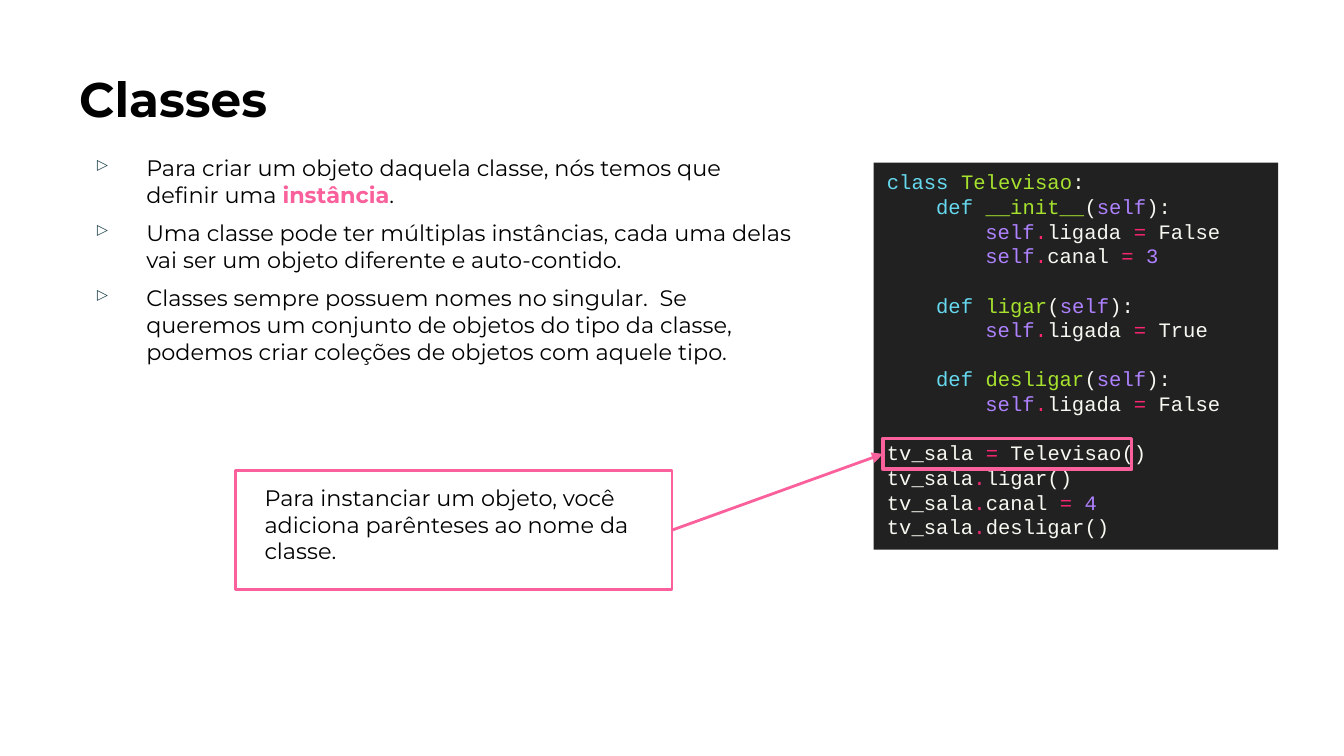
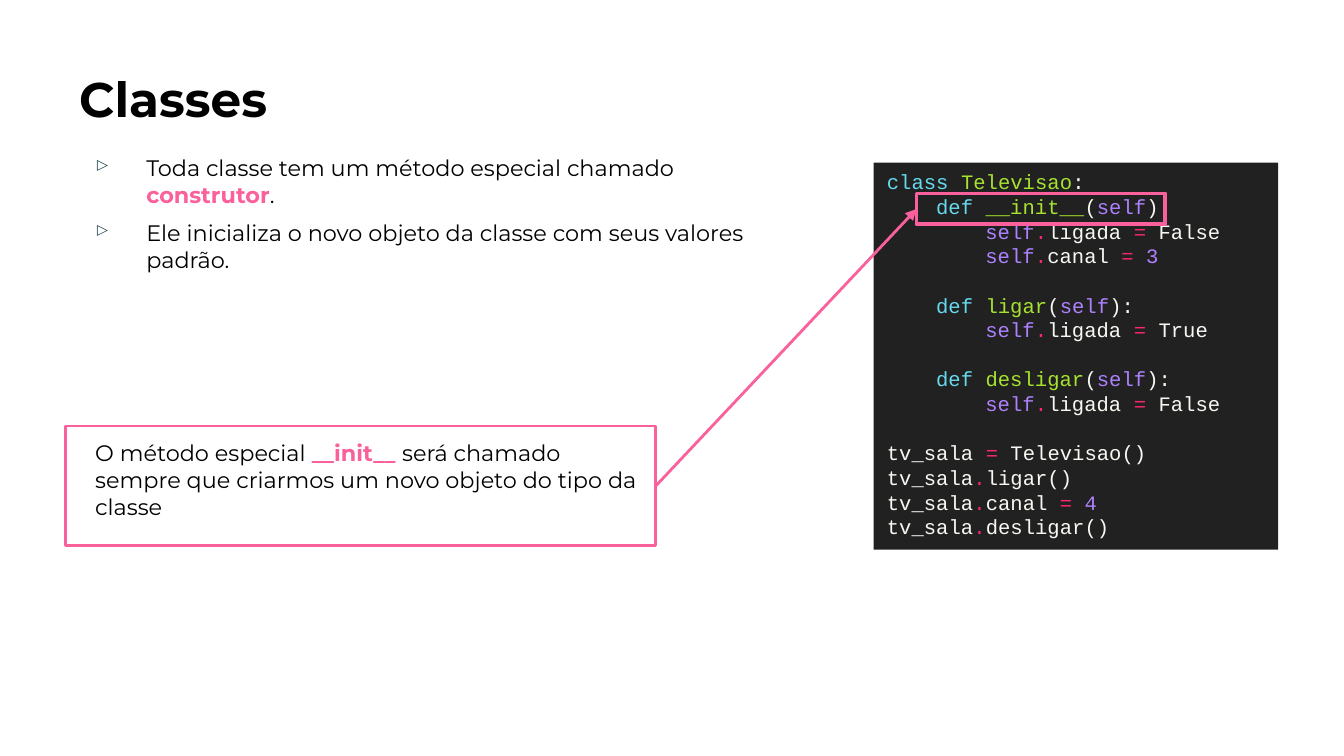
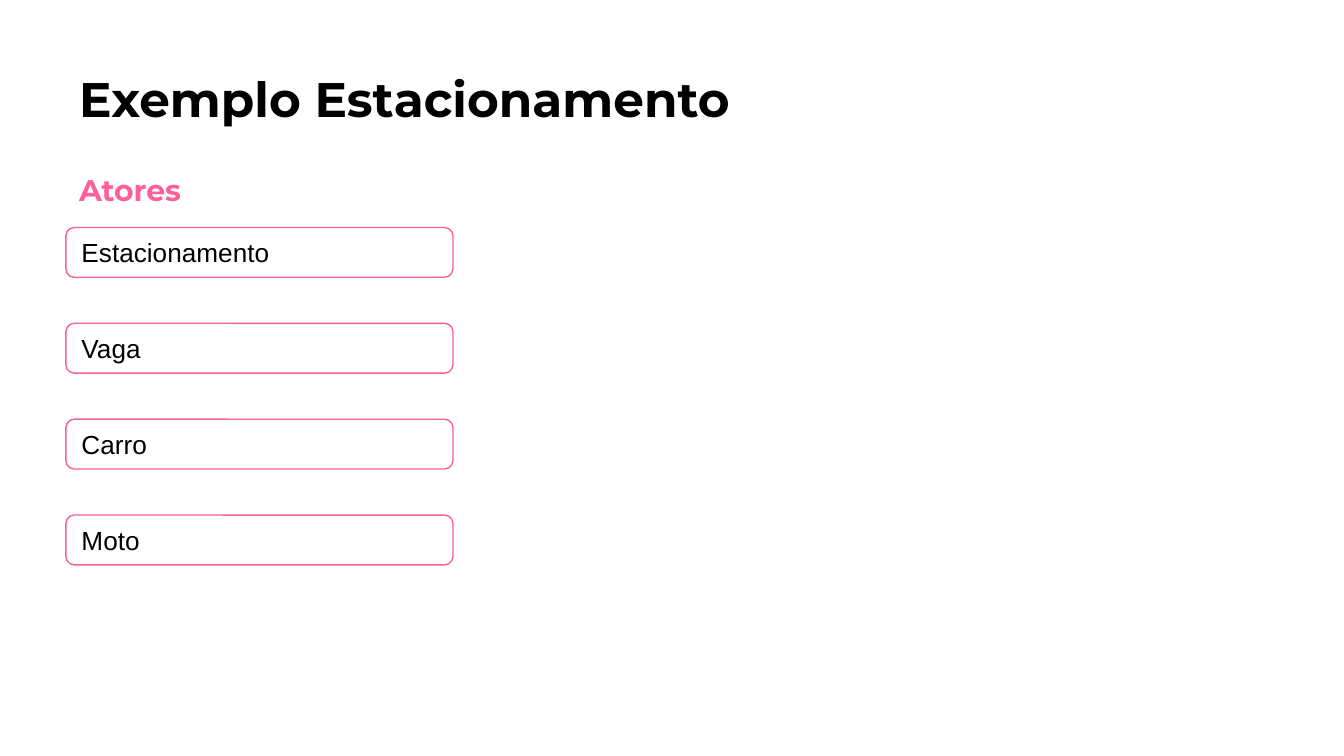
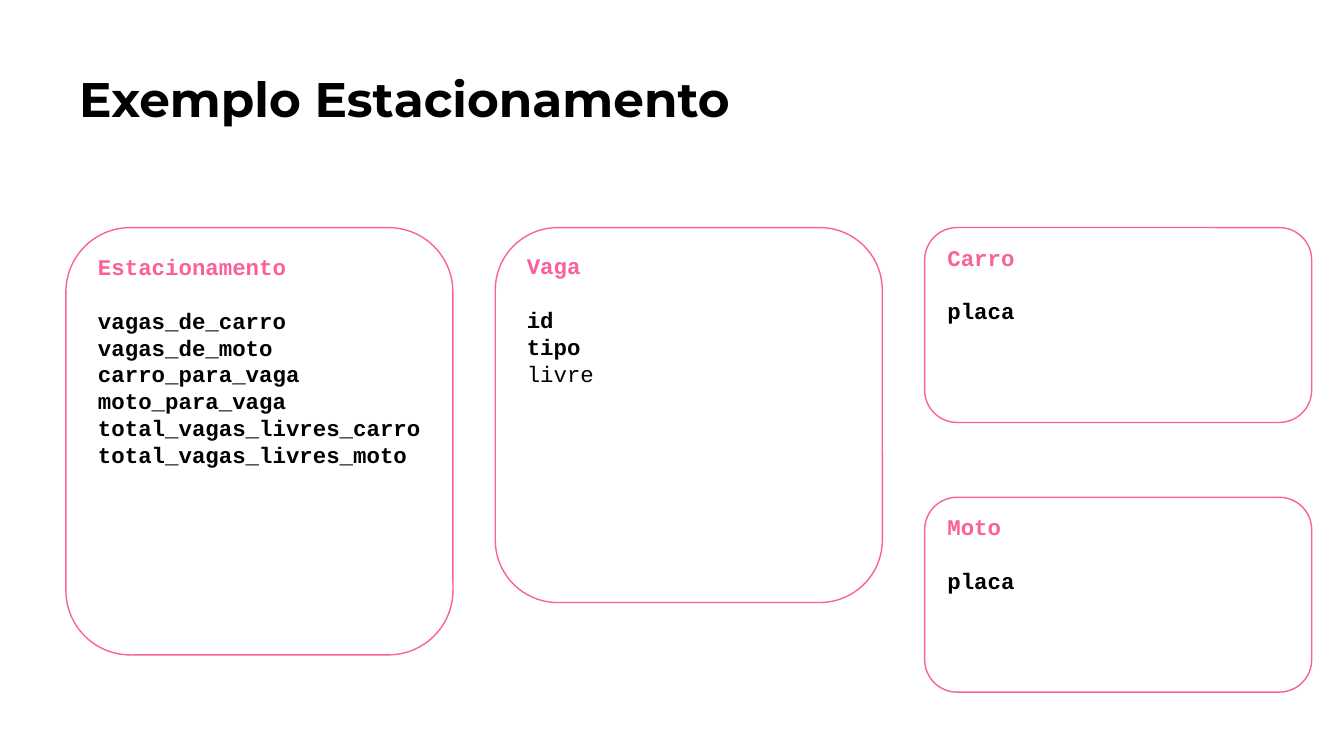
from dataclasses import dataclass
from typing import Optional

from lxml.etree import SubElement
from pptx import Presentation
from pptx.dml.color import RGBColor
from pptx.enum.shapes import MSO_CONNECTOR, MSO_SHAPE
from pptx.enum.text import MSO_ANCHOR, PP_ALIGN
from pptx.oxml.ns import qn
from pptx.util import Emu, Inches, Pt

SLIDE_WIDTH, SLIDE_HEIGHT = Inches(10), Inches(5.625)


@dataclass(frozen=True)
class Theme:
    ink: str = "000000"
    accent: str = "FA609B"
    subtitle: str = "FF609A"
    bullet: str = "0C343D"
    code_background: str = "212121"
    code_plain: str = "F8F8F2"
    code_keyword: str = "66D9EF"
    code_name: str = "A6E22E"
    code_value: str = "AE81FF"
    code_operator: str = "F92672"
    heading_font: str = "Montserrat"
    code_font: str = "Courier New"
    actor_font: str = "Arial"
    title_size: float = 26
    subtitle_size: float = 16
    actor_size: float = 14
    body_size: float = 12
    code_size: float = 11
    code_leading: float = 13.2
    card_leading: float = 14.4


THEME = Theme()


@dataclass(frozen=True)
class Box:
    """A place on the slide, in percent of its width and height."""
    left: float
    top: float
    width: float
    height: float

    def lengths(self) -> tuple[Emu, ...]:
        across, down = SLIDE_WIDTH / 100, SLIDE_HEIGHT / 100
        return (Emu(round(self.left * across)), Emu(round(self.top * down)),
                Emu(round(self.width * across)), Emu(round(self.height * down)))


@dataclass(frozen=True)
class Style:
    font: str
    size: float
    color: str = THEME.ink
    bold: bool = False


@dataclass(frozen=True)
class Lesson:
    """A slide with bullets, the code and a callout pointing at one code line."""
    bullets: tuple[str, ...]
    bullets_height: float
    callout: str
    callout_box: Box
    code_line: int
    highlight_left: float


@dataclass(frozen=True)
class Card:
    name: str
    fields: tuple[str, ...]
    column: int
    top: float
    height: float
    plain_fields: tuple[str, ...] = ()


MARGIN = 4.9
TITLE_BOX = Box(MARGIN, 7.29, 78.3, 11.38)
SUBTITLE_BOX = Box(MARGIN, 20.98, 17.5, 8.36)
CODE_BOX = Box(65, 21.51, 30.1, 51.2)
BULLETS_TOP, BULLETS_WIDTH = 18.67, 55.3
FIRST_HIGHLIGHT_TOP, CODE_LINE_PITCH = 22.36, 3.24
PANEL_WIDTH, PANEL_TOP = 28.8, 30.1
ACTOR_HEIGHT, ACTOR_PITCH = 6.58, 12.68
CARD_PITCH = 31.95

TITLE = Style(THEME.heading_font, THEME.title_size, bold=True)
SUBTITLE = Style(THEME.heading_font, THEME.subtitle_size, THEME.subtitle, True)
BODY = Style(THEME.heading_font, THEME.body_size)
EMPHASIS = Style(THEME.heading_font, THEME.body_size, THEME.accent, True)
ACTOR = Style(THEME.actor_font, THEME.actor_size)
CARD_NAME = Style(THEME.code_font, THEME.body_size, THEME.accent, True)
CARD_FIELD = Style(THEME.code_font, THEME.body_size, bold=True)
CARD_PLAIN = Style(THEME.code_font, THEME.body_size)

# Each leading tab is one indent level, "|" parts the tokens, "" is a gap.
CODE = (
    "class |Televisao|:",
    "\tdef |__init__|(|self|):",
    "\t\tself|.|ligada |= |False",
    "\t\tself|.|canal |= |3",
    "",
    "\tdef |ligar|(|self|):",
    "\t\tself|.|ligada |= |True",
    "",
    "\tdef |desligar|(|self|):",
    "\t\tself|.|ligada |= |False",
    "",
    "tv_sala |= |Televisao()",
    "tv_sala|.|ligar()",
    "tv_sala|.|canal |= |4",
    "tv_sala|.|desligar()",
)
TOKEN_COLORS = {
    "class ": THEME.code_keyword, "def ": THEME.code_keyword,
    "self": THEME.code_value, "3": THEME.code_value, "4": THEME.code_value,
    ".": THEME.code_operator, "= ": THEME.code_operator,
}

LESSONS = (
    Lesson(
        ("Para criar um objeto daquela classe, nós temos que definir uma *instância*.",
         "Uma classe pode ter múltiplas instâncias, cada uma delas vai ser um objeto "
         "diferente e auto-contido.",
         "Classes sempre possuem nomes no singular.  Se queremos um conjunto de objetos "
         "do tipo da classe, podemos criar coleções de objetos com aquele tipo."),
        33.24,
        "Para instanciar um objeto, você adiciona parênteses ao nome da classe.",
        Box(17.5, 62.22, 32.5, 15.82), code_line=11, highlight_left=65.7),
    Lesson(
        ("Toda classe tem um método especial chamado *construtor*.",
         "Ele inicializa o novo objeto da classe com seus valores padrão."),
        25.96,
        "O método especial *__init__ *será chamado sempre que criarmos um novo objeto "
        "do tipo da classe",
        Box(MARGIN, 56.36, 43.9, 15.82), code_line=1, highlight_left=68.2),
)

ACTORS = ("Estacionamento", "Vaga", "Carro", "Moto")

CARDS = (
    Card("Estacionamento",
         ("vagas_de_carro", "vagas_de_moto", "carro_para_vaga", "moto_para_vaga",
          "total_vagas_livres_carro", "total_vagas_livres_moto"), 0, PANEL_TOP, 56.53),
    Card("Vaga", ("id", "tipo", "livre"), 1, PANEL_TOP, 49.6, plain_fields=("livre",)),
    Card("Carro", ("placa",), 2, PANEL_TOP, 25.78),
    Card("Moto", ("placa",), 2, 65.78, 25.78),
)


def color(value: str) -> RGBColor:
    return RGBColor.from_string(value)


def add_styled_run(paragraph, text: str, style: Style) -> None:
    run = paragraph.add_run()
    run.text = text
    run.font.name = style.font
    run.font.size = Pt(style.size)
    run.font.bold = style.bold
    run.font.color.rgb = color(style.color)


def add_marked_runs(paragraph, text: str) -> None:
    """Write body text in which asterisks enclose the emphasised words."""
    for index, part in enumerate(text.split("*")):
        if part:
            add_styled_run(paragraph, part, EMPHASIS if index % 2 else BODY)


def next_paragraph(text_frame, index: int):
    paragraph = text_frame.add_paragraph() if index else text_frame.paragraphs[0]
    paragraph.alignment = PP_ALIGN.LEFT
    return paragraph


def set_indent(paragraph, margin: Emu, first_line: Emu = Emu(0)) -> None:
    properties = paragraph._p.get_or_add_pPr()
    properties.set("marL", str(int(margin)))
    properties.set("indent", str(int(first_line)))


def add_bullet(paragraph) -> None:
    properties = paragraph._p.get_or_add_pPr()
    bullet_color = SubElement(properties, qn("a:buClr"))
    SubElement(bullet_color, qn("a:srgbClr"), val=THEME.bullet)
    SubElement(properties, qn("a:buChar"), char="▹")


def prepare_text_frame(shape, vertical_inset: float):
    text_frame = shape.text_frame
    text_frame.word_wrap = True
    text_frame.vertical_anchor = MSO_ANCHOR.TOP
    text_frame.margin_left = text_frame.margin_right = Inches(0.1)
    text_frame.margin_top = text_frame.margin_bottom = Inches(vertical_inset)
    return text_frame


def add_text_box(slide, box: Box):
    return prepare_text_frame(slide.shapes.add_textbox(*box.lengths()), 0.1)


def add_line_of_text(slide, box: Box, text: str, style: Style) -> None:
    add_styled_run(next_paragraph(add_text_box(slide, box), 0), text, style)


def add_panel(shapes, kind: MSO_SHAPE, box: Box, line_width: float = 0,
              fill: Optional[str] = None):
    shape = shapes.add_shape(kind, *box.lengths())
    shape.shadow.inherit = False
    if fill:
        shape.fill.solid()
        shape.fill.fore_color.rgb = color(fill)
    else:
        shape.fill.background()
    if line_width:
        shape.line.color.rgb = color(THEME.accent)
        shape.line.width = Pt(line_width)
    else:
        shape.line.fill.background()
    return shape


def add_arrow(slide, source, target) -> None:
    """Join the right side of the source to the left side of the target."""
    arrow = slide.shapes.add_connector(MSO_CONNECTOR.STRAIGHT, 0, 0, 0, 0)
    arrow.begin_connect(source, 3)
    arrow.end_connect(target, 1)
    arrow.line.color.rgb = color(THEME.accent)
    arrow.line.width = Pt(1.5)
    SubElement(arrow.line._get_or_add_ln(), qn("a:tailEnd"), type="triangle")
    SubElement(arrow._element.spPr, qn("a:effectLst"))


def add_bullets(slide, lesson: Lesson) -> None:
    box = Box(MARGIN, BULLETS_TOP, BULLETS_WIDTH, lesson.bullets_height)
    text_frame = add_text_box(slide, box)
    for index, text in enumerate(lesson.bullets):
        paragraph = next_paragraph(text_frame, index)
        paragraph.space_before = Pt(6)
        set_indent(paragraph, Inches(0.5), Inches(-0.38))
        add_bullet(paragraph)
        add_marked_runs(paragraph, text)


def add_code_line(paragraph, line: str) -> None:
    level = line.count("\t")
    set_indent(paragraph, Pt(level * 4 * 0.6 * THEME.code_size))
    after_keyword = False
    for token in line.strip("\t").split("|"):
        token_color = (THEME.code_name if after_keyword
                       else TOKEN_COLORS.get(token, THEME.code_plain))
        add_styled_run(paragraph, token,
                       Style(THEME.code_font, THEME.code_size, token_color))
        after_keyword = token_color == THEME.code_keyword


def add_code(slide) -> None:
    panel = add_panel(slide.shapes, MSO_SHAPE.RECTANGLE, CODE_BOX,
                      fill=THEME.code_background)
    text_frame = prepare_text_frame(panel, 0.05)
    gap_before = False
    for index, line in enumerate(CODE):
        if line:
            paragraph = next_paragraph(text_frame, index)
            paragraph.line_spacing = Pt(THEME.code_leading)
            paragraph.space_before = Pt(THEME.code_leading if gap_before else 0)
            add_code_line(paragraph, line)
        gap_before = not line


def add_callout(slide, lesson: Lesson) -> None:
    top = FIRST_HIGHLIGHT_TOP + lesson.code_line * CODE_LINE_PITCH
    highlight = add_panel(slide.shapes, MSO_SHAPE.RECTANGLE,
                          Box(lesson.highlight_left, top, 18.5, 4.09), line_width=2)
    callout = add_panel(slide.shapes, MSO_SHAPE.RECTANGLE, lesson.callout_box,
                        line_width=1.5)
    paragraph = next_paragraph(prepare_text_frame(callout, 0.1), 0)
    paragraph.space_before = Pt(6)
    set_indent(paragraph, Inches(0.12))
    add_marked_runs(paragraph, lesson.callout)
    add_arrow(slide, callout, highlight)


def add_actors(slide) -> None:
    group = slide.shapes.add_group_shape()
    for index, actor in enumerate(ACTORS):
        box = Box(MARGIN, PANEL_TOP + index * ACTOR_PITCH, PANEL_WIDTH, ACTOR_HEIGHT)
        panel = add_panel(group.shapes, MSO_SHAPE.ROUNDED_RECTANGLE, box, 0.75)
        paragraph = next_paragraph(prepare_text_frame(panel, 0.05), 0)
        add_styled_run(paragraph, actor, ACTOR)


def add_card(slide, card: Card) -> None:
    box = Box(MARGIN + card.column * CARD_PITCH, card.top, PANEL_WIDTH, card.height)
    panel = add_panel(slide.shapes, MSO_SHAPE.ROUNDED_RECTANGLE, box, 0.75)
    text_frame = prepare_text_frame(panel, 0.05)
    for index, text in enumerate((card.name, *card.fields)):
        paragraph = next_paragraph(text_frame, index)
        paragraph.line_spacing = Pt(THEME.card_leading)
        paragraph.space_before = Pt(THEME.card_leading if index == 1 else 0)
        field_style = CARD_PLAIN if text in card.plain_fields else CARD_FIELD
        add_styled_run(paragraph, text, field_style if index else CARD_NAME)


def add_titled_slide(presentation, title: str):
    slide = presentation.slides.add_slide(presentation.slide_layouts[6])
    add_line_of_text(slide, TITLE_BOX, title, TITLE)
    return slide


def main() -> None:
    presentation = Presentation()
    presentation.slide_width, presentation.slide_height = SLIDE_WIDTH, SLIDE_HEIGHT

    for lesson in LESSONS:
        slide = add_titled_slide(presentation, "Classes")
        add_bullets(slide, lesson)
        add_code(slide)
        add_callout(slide, lesson)

    slide = add_titled_slide(presentation, "Exemplo Estacionamento")
    add_actors(slide)
    add_line_of_text(slide, SUBTITLE_BOX, "Atores", SUBTITLE)

    slide = add_titled_slide(presentation, "Exemplo Estacionamento")
    for card in CARDS:
        add_card(slide, card)

    presentation.save("out.pptx")


if __name__ == "__main__":
    main()
